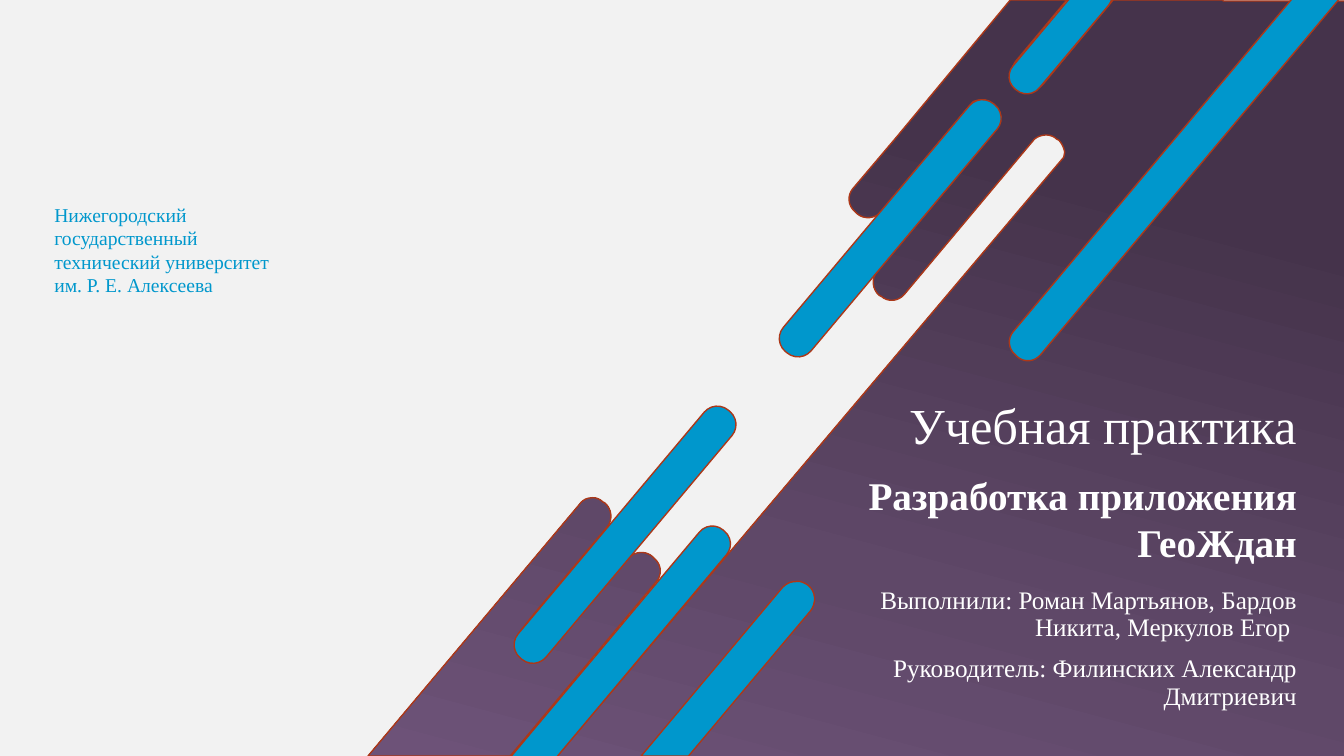
"""Build the title slide of a practice report with slanted rounded bars."""
import pptx
import pptx.dml.color
import pptx.enum.shapes
import pptx.enum.text
import pptx.oxml
import pptx.oxml.ns
import pptx.util

Inches = pptx.util.Inches
Pt = pptx.util.Pt
ALIGN = pptx.enum.text.PP_ALIGN
ANCHOR = pptx.enum.text.MSO_ANCHOR

COLORS = {"paper": "F2F2F2", "bar": "0097CC", "outline": "AC3819", "text": "FFFFFF"}
FONT = "Times New Roman"
SLANT = 40
BACKDROP_STOPS = [(0, "45334B"), (24, "45334B"), (69, "5F4868"), (100, "6D5278")]

# Contour steps: two numbers are a line end, six are a cubic curve.
LOWER_BACKDROP = [
    (5.86, 4.94), (5.9, 4.93, 5.95, 4.95, 5.98, 4.98), (6, 4.99),
    (6.07, 5.05, 6.08, 5.16, 6.02, 5.23), (5.28, 6.11), (5.17, 6.25),
    (5.11, 6.32, 5.12, 6.42, 5.19, 6.48), (5.21, 6.5),
    (5.28, 6.56, 5.39, 6.55, 5.44, 6.48), (5.56, 6.34), (6.23, 5.54),
    (6.29, 5.47, 6.4, 5.46, 6.47, 5.52), (6.49, 5.54),
    (6.56, 5.6, 6.57, 5.7, 6.51, 5.77), (5.06, 7.5), (3.65, 7.5), (5.75, 5),
    (5.78, 4.96, 5.82, 4.94, 5.86, 4.94),
]
UPPER_BACKDROP = [
    (10.58, 0), (10.08, 0.6), (10.02, 0.67, 10.03, 0.77, 10.1, 0.83),
    (10.12, 0.85), (10.19, 0.91, 10.29, 0.9, 10.35, 0.83), (11.04, 0),
    (12.13, 0), (12.13, 0.01), (13.37, 0.01), (13.37, 7.51), (5.51, 7.52),
    (10.55, 1.56), (10.56, 1.51), (10.55, 1.46, 10.53, 1.42, 10.5, 1.39),
    (10.48, 1.38), (10.43, 1.33, 10.35, 1.33, 10.29, 1.36), (10.26, 1.38),
    (8.97, 2.92), (8.91, 2.99, 8.81, 3, 8.74, 2.94), (8.72, 2.93),
    (8.65, 2.87, 8.64, 2.76, 8.7, 2.69), (9.47, 1.78), (9.87, 1.28),
    (9.93, 1.21, 9.92, 1.11, 9.85, 1.05), (9.84, 1.03),
    (9.78, 0.99, 9.71, 0.98, 9.65, 1.01), (8.74, 2.1),
    (8.68, 2.17, 8.57, 2.18, 8.5, 2.12), (8.48, 2.1),
    (8.41, 2.04, 8.4, 1.94, 8.46, 1.87), (8.9, 1.35), (10.02, 0),
]
TOP_RIGHT_BAR = [
    (12.83, -0.03), (13.3, -0.03), (10.32, 3.52),
    (10.26, 3.59, 10.16, 3.6, 10.09, 3.54), (10.07, 3.52),
    (10, 3.46, 9.99, 3.36, 10.05, 3.29),
]
BOTTOM_BAR = [
    (7.89, 5.77), (7.93, 5.76, 7.98, 5.78, 8.02, 5.81),
    (8.09, 5.87, 8.1, 5.98, 8.04, 6.06), (6.83, 7.5), (6.36, 7.5),
    (7.76, 5.83), (7.8, 5.79, 7.84, 5.77, 7.89, 5.77),
]


def rgb(name):
    """Return the palette colour called name."""
    return pptx.dml.color.RGBColor.from_string(COLORS[name])


def flatten(contour, steps=8):
    """Turn lines and cubic curves into a list of points in EMU."""
    points = [contour[0]]
    for step in contour[1:]:
        if len(step) == 2:
            points.append(step)
            continue
        controls = [points[-1], step[:2], step[2:4], step[4:]]
        for i in range(1, steps + 1):
            t = i / steps
            weights = [(1 - t) ** 3, 3 * t * (1 - t) ** 2, 3 * t * t * (1 - t), t ** 3]
            points.append(tuple(sum(w * c[axis] for w, c in zip(weights, controls))
                                for axis in (0, 1)))
    return [(Inches(x), Inches(y)) for x, y in points]


def paint(shape):
    """Give a shape the bar fill and the thin outline."""
    shape.shadow.inherit = False
    shape.fill.solid()
    shape.fill.fore_color.rgb = rgb("bar")
    shape.line.color.rgb = rgb("outline")
    shape.line.width = Pt(1)


def add_outline(slide, *contours):
    """Draw one freeform made of closed contours."""
    first, *others = [flatten(contour) for contour in contours]
    builder = slide.shapes.build_freeform(*first[0])
    builder.add_line_segments(first[1:])
    for points in others:
        builder.move_to(*points[0])
        builder.add_line_segments(points[1:])
    outline = builder.convert_to_shape()
    paint(outline)
    return outline


def shade(shape, stops, angle):
    """Fill a shape with a linear gradient of percent and colour stops."""
    shape.fill.gradient()
    shape.fill.gradient_angle = angle
    stop_list = shape._element.spPr.find(".//" + pptx.oxml.ns.qn("a:gsLst"))
    for stop in list(stop_list):
        stop_list.remove(stop)
    for percent, color in stops:
        stop_list.append(pptx.oxml.parse_xml(
            f'<a:gs {pptx.oxml.ns.nsdecls("a")} pos="{percent * 1000}">'
            f'<a:srgbClr val="{color}"/></a:gs>'))


def add_bar(slide, left, top, width, height):
    """Draw one slanted bar with round ends."""
    bar = slide.shapes.add_shape(
        pptx.enum.shapes.MSO_SHAPE.ROUNDED_RECTANGLE,
        Inches(left), Inches(top), Inches(width), Inches(height))
    bar.adjustments[0] = 0.47
    bar.rotation = SLANT
    paint(bar)


def add_text(slide, box, lines, size, color="text", align=ALIGN.RIGHT,
             bold=False, anchor=ANCHOR.TOP, spacing=1.0):
    """Write paragraphs of one style in a wrapping box."""
    frame = slide.shapes.add_textbox(*map(Inches, box)).text_frame
    frame.word_wrap = True
    frame.vertical_anchor = anchor
    frame.text = "\n".join(lines)
    for i, paragraph in enumerate(frame.paragraphs):
        paragraph.alignment = align
        paragraph.line_spacing = spacing
        if i:
            paragraph.space_before = Pt(10)
        for run in paragraph.runs:
            run.font.name = FONT
            run.font.size = Pt(size)
            run.font.bold = bold
            run.font.color.rgb = rgb(color)


def main():
    """Build and save the slide."""
    deck = pptx.Presentation()
    deck.slide_width, deck.slide_height = Inches(13.33), Inches(7.5)
    slide = deck.slides.add_slide(deck.slide_layouts[6])
    slide.background.fill.solid()
    slide.background.fill.fore_color.rgb = rgb("paper")

    backdrop = add_outline(slide, LOWER_BACKDROP, UPPER_BACKDROP)
    shade(backdrop, BACKDROP_STOPS, 255)
    add_outline(slide, TOP_RIGHT_BAR)
    add_outline(slide, BOTTOM_BAR)
    for bar in [(5.92, 4.87, 0.35, 3.37), (10.35, -0.34, 0.34, 1.39),
                (8.65, 0.66, 0.36, 3.21), (6.02, 3.7, 0.36, 3.21)]:
        add_bar(slide, *bar)

    add_text(slide, (8.68, 3.75, 4.28, 0.82), ["Учебная практика"], 36,
             anchor=ANCHOR.BOTTOM, spacing=0.9)
    add_text(slide, (8.49, 5.78, 4.47, 1.66),
             ["Выполнили: Роман Мартьянов, Бардов Никита, Меркулов Егор ",
              "Руководитель: Филинских Александр Дмитриевич"], 18, spacing=0.9)
    add_text(slide, (8.49, 4.63, 4.47, 1.04), ["Разработка приложения ГеоЖдан"],
             28, bold=True)
    add_text(slide, (0.44, 1.96, 2.56, 1.04),
             ["Нижегородский государственный технический университет "
              "им. Р. Е. Алексеева"], 14, color="bar", align=ALIGN.LEFT)
    deck.save("out.pptx")


if __name__ == "__main__":
    main()
